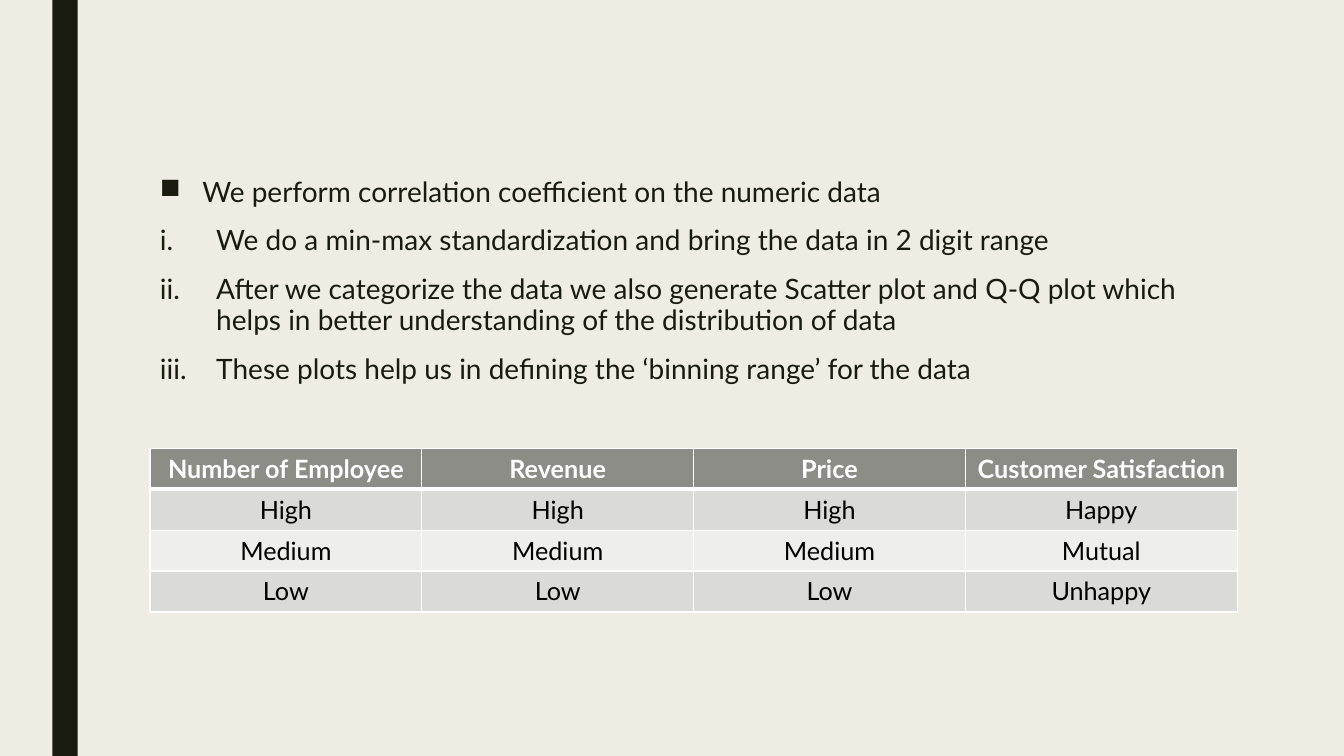
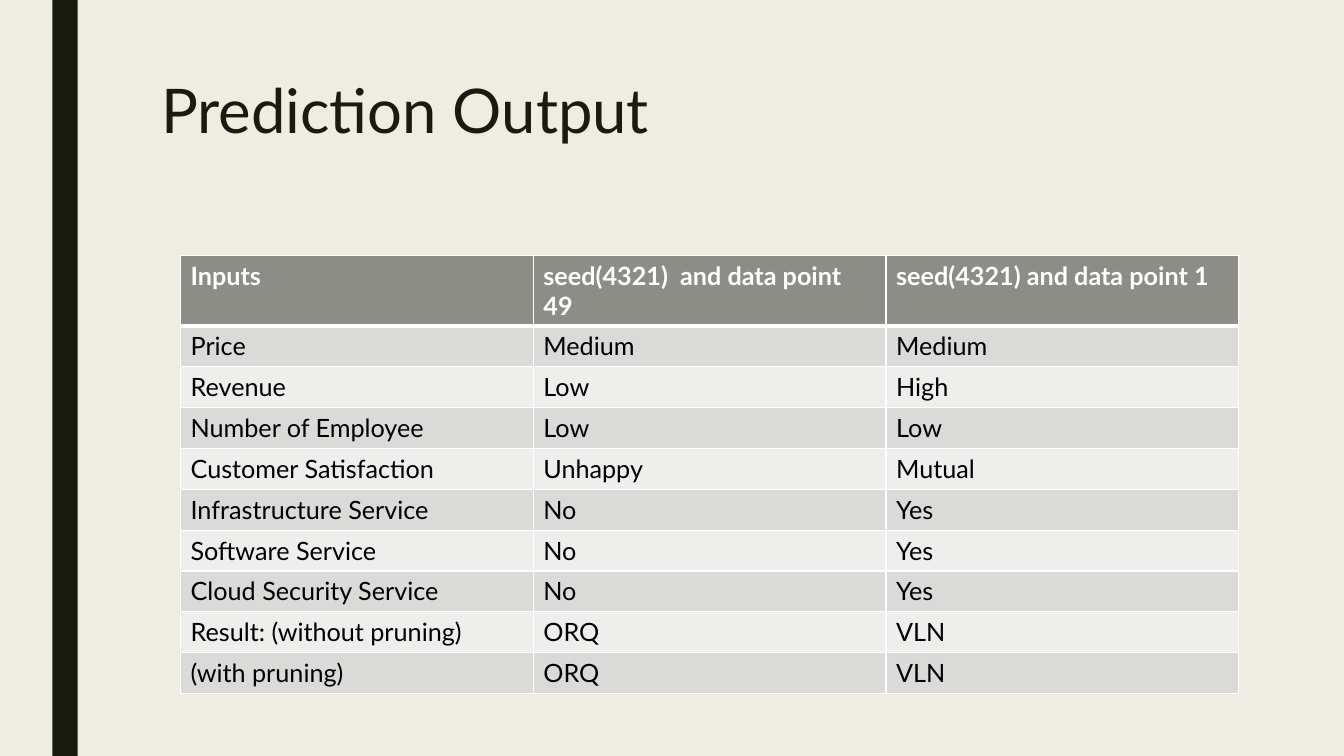
import lxml.etree
import pptx
import pptx.dml.color
import pptx.enum.shapes
import pptx.enum.text
import pptx.oxml.ns
import pptx.util
from pptx.util import Cm, Pt

ALIGN = pptx.enum.text.PP_ALIGN


def color(hex_string):
    return pptx.dml.color.RGBColor.from_string(hex_string)


def add_element(parent, tag, **attributes):
    return lxml.etree.SubElement(parent, pptx.oxml.ns.qn(tag), attributes)


class Deck:
    """Holds the shared style and the slide being built."""

    FONT = "Lato"
    DARK = "191B0E"
    BACKGROUND = "EFEDE3"
    WHITE = "FFFFFF"
    BLACK = "000000"
    HEADER = "8C8D86"
    BANDS = ("EEEEED", "DADBD9")
    ROW_HEIGHT = Cm(1.03)
    TITLE_ONLY, BLANK = 5, 6

    def __init__(self):
        self.presentation = pptx.Presentation()
        self.presentation.slide_width = Cm(33.87)
        self.presentation.slide_height = Cm(19.05)
        fill = self.presentation.slide_master.background.fill
        fill.solid()
        fill.fore_color.rgb = color(self.BACKGROUND)
        self.slide = None

    def add_slide(self, title=None):
        layout = self.BLANK if title is None else self.TITLE_ONLY
        self.slide = self.presentation.slides.add_slide(
            self.presentation.slide_layouts[layout])
        self.add_side_band()
        if title is not None:
            self.set_title(title)

    def add_side_band(self):
        band = self.slide.shapes.add_shape(
            pptx.enum.shapes.MSO_SHAPE.RECTANGLE,
            Cm(1.32), 0, Cm(0.64), self.presentation.slide_height)
        band.shadow.inherit = False
        band.fill.solid()
        band.fill.fore_color.rgb = color(self.DARK)
        band.line.fill.background()

    def set_title(self, text):
        title = self.slide.shapes.title
        title.left, title.top = Cm(3.81), Cm(1.9)
        title.width, title.height = Cm(26.67), Cm(4.11)
        self.prepare_frame(title.text_frame)
        paragraph = title.text_frame.paragraphs[0]
        paragraph.text = text
        paragraph.alignment = ALIGN.LEFT
        paragraph.line_spacing = 0.89
        self.set_font(paragraph, 44, self.DARK)

    def prepare_frame(self, frame):
        frame.word_wrap = True
        frame.auto_size = pptx.enum.text.MSO_AUTO_SIZE.NONE
        frame.vertical_anchor = pptx.enum.text.MSO_ANCHOR.TOP

    def set_font(self, paragraph, size, font_color, bold=False):
        font = paragraph.font
        font.name = self.FONT
        font.size = Pt(size)
        font.bold = bold
        font.color.rgb = color(font_color)

    def add_list(self, left, top, width, height, heading, steps):
        """Add a square-bulleted heading followed by roman-numbered steps."""
        frame = self.slide.shapes.add_textbox(left, top, width, height).text_frame
        self.prepare_frame(frame)
        for index, text in enumerate([heading, *steps]):
            paragraph = frame.add_paragraph() if index else frame.paragraphs[0]
            paragraph.text = text
            paragraph.line_spacing = 0.94
            paragraph.space_before = Pt(10)
            paragraph.space_after = Pt(2)
            properties = paragraph._p.get_or_add_pPr()
            indent = Cm(1.42) if index else Cm(1.07)
            properties.set("marL", str(indent))
            properties.set("indent", str(-indent))
            if index:
                add_element(properties, "a:buAutoNum", type="romanLcPeriod")
            else:
                add_element(properties, "a:buChar", char="■")
            self.set_font(paragraph, 20, self.DARK)

    def add_table(self, left, top, column_width, rows, alignment=ALIGN.LEFT):
        row_count, column_count = len(rows), len(rows[0])
        table = self.slide.shapes.add_table(
            row_count, column_count, left, top,
            column_width * column_count, self.ROW_HEIGHT * row_count).table
        table.horz_banding = False
        for column in table.columns:
            column.width = column_width
        for row_index, values in enumerate(rows):
            table.rows[row_index].height = self.ROW_HEIGHT
            for column_index, text in enumerate(values):
                self.fill_cell(table.cell(row_index, column_index), text,
                               row_index, alignment)

    def fill_cell(self, cell, text, row_index, alignment):
        is_header = row_index == 0
        self.set_borders(cell, top=3 if row_index == 1 else 1,
                         bottom=3 if is_header else 1)
        cell.fill.solid()
        cell.fill.fore_color.rgb = color(
            self.HEADER if is_header else self.BANDS[row_index % 2])
        paragraph = cell.text_frame.paragraphs[0]
        paragraph.text = text
        paragraph.alignment = alignment
        self.set_font(paragraph, 18, self.WHITE if is_header else self.BLACK,
                      is_header)

    def set_borders(self, cell, top, bottom):
        properties = cell._tc.get_or_add_tcPr()
        widths = {"a:lnL": 1, "a:lnR": 1, "a:lnT": top, "a:lnB": bottom}
        for tag, width in widths.items():
            line = add_element(properties, tag, w=str(Pt(width)))
            fill = add_element(line, "a:solidFill")
            add_element(fill, "a:srgbClr", val=self.WHITE)


def main():
    deck = Deck()

    deck.add_slide()
    deck.add_list(
        Cm(3.78), Cm(4.34), Cm(26.67), Cm(9.96),
        "We perform correlation coefficient on the numeric data",
        [
            "We do a min-max standardization and bring the data in 2 digit range",
            "After we categorize the data we also generate Scatter plot and Q-Q "
            "plot which helps in better understanding of the distribution of data",
            "These plots help us in defining the ‘binning range’ for the data",
        ])
    deck.add_table(Cm(3.78), Cm(11.3), Cm(6.85), [
        ("Number of Employee", "Revenue", "Price", "Customer Satisfaction"),
        ("High", "High", "High", "Happy"),
        ("Medium", "Medium", "Medium", "Mutual"),
        ("Low", "Low", "Low", "Unhappy"),
    ], ALIGN.CENTER)

    deck.add_slide("Prediction Output")
    deck.add_table(Cm(4.55), Cm(6.43), Cm(8.89), [
        ("Inputs", "seed(4321)  and data point 49", "seed(4321) and data point 1"),
        ("Price", "Medium", "Medium"),
        ("Revenue", "Low", "High"),
        ("Number of Employee", "Low", "Low"),
        ("Customer Satisfaction", "Unhappy", "Mutual"),
        ("Infrastructure Service", "No", "Yes"),
        ("Software Service", "No", "Yes"),
        ("Cloud Security Service", "No", "Yes"),
        ("Result: (without pruning)", "ORQ", "VLN"),
        ("(with pruning)", "ORQ", "VLN"),
    ])

    deck.presentation.save("out.pptx")


if __name__ == "__main__":
    main()
